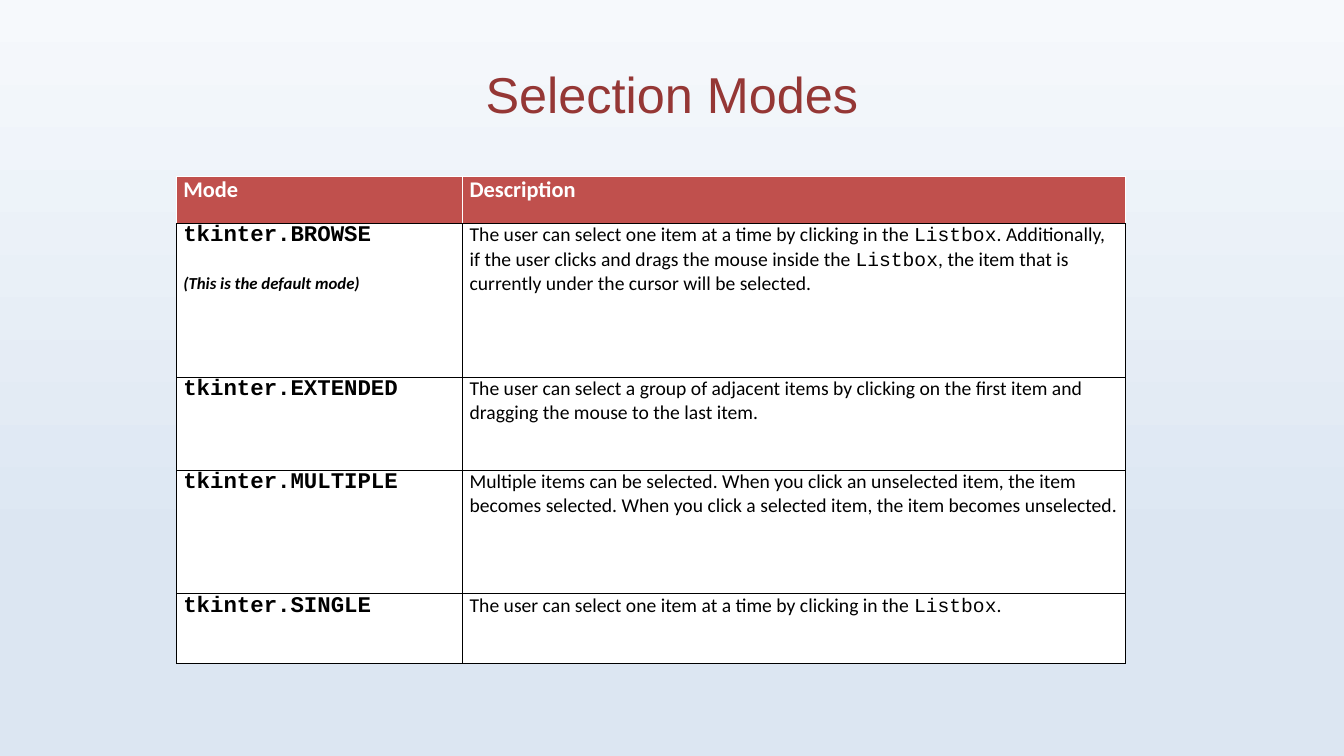
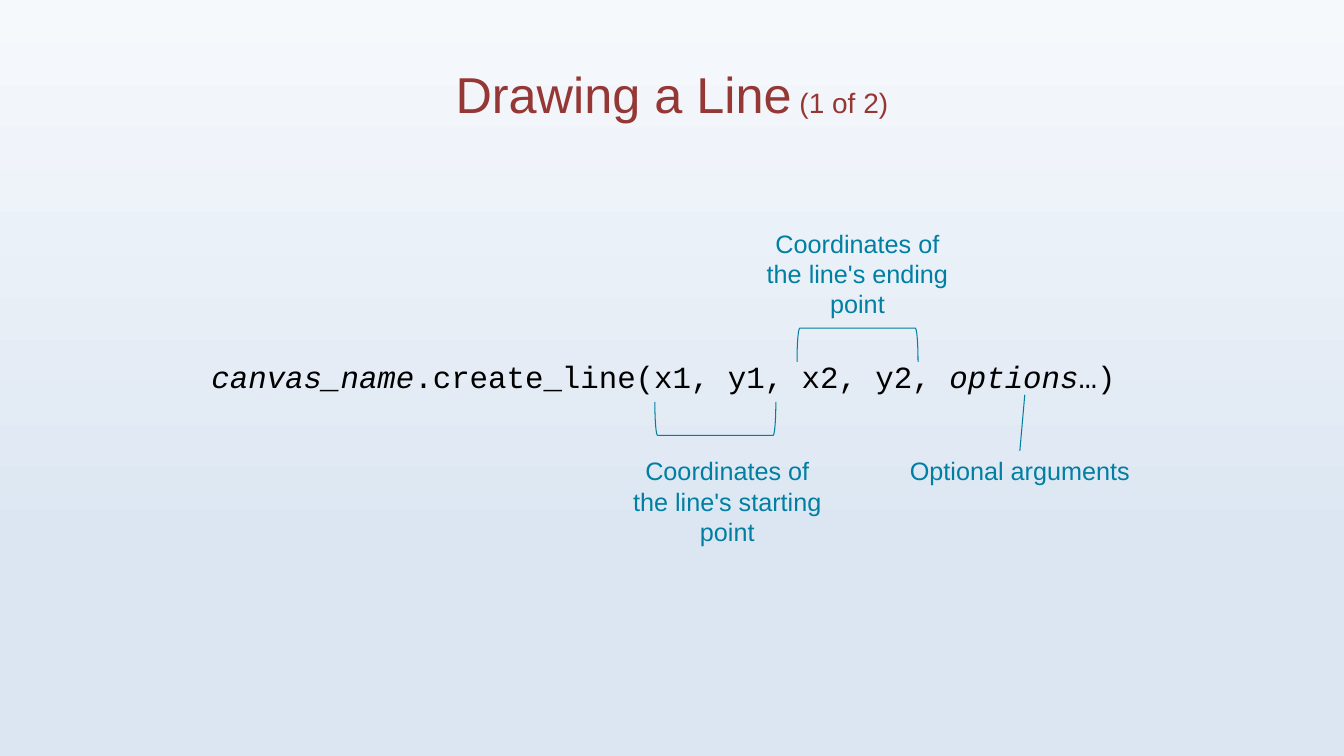
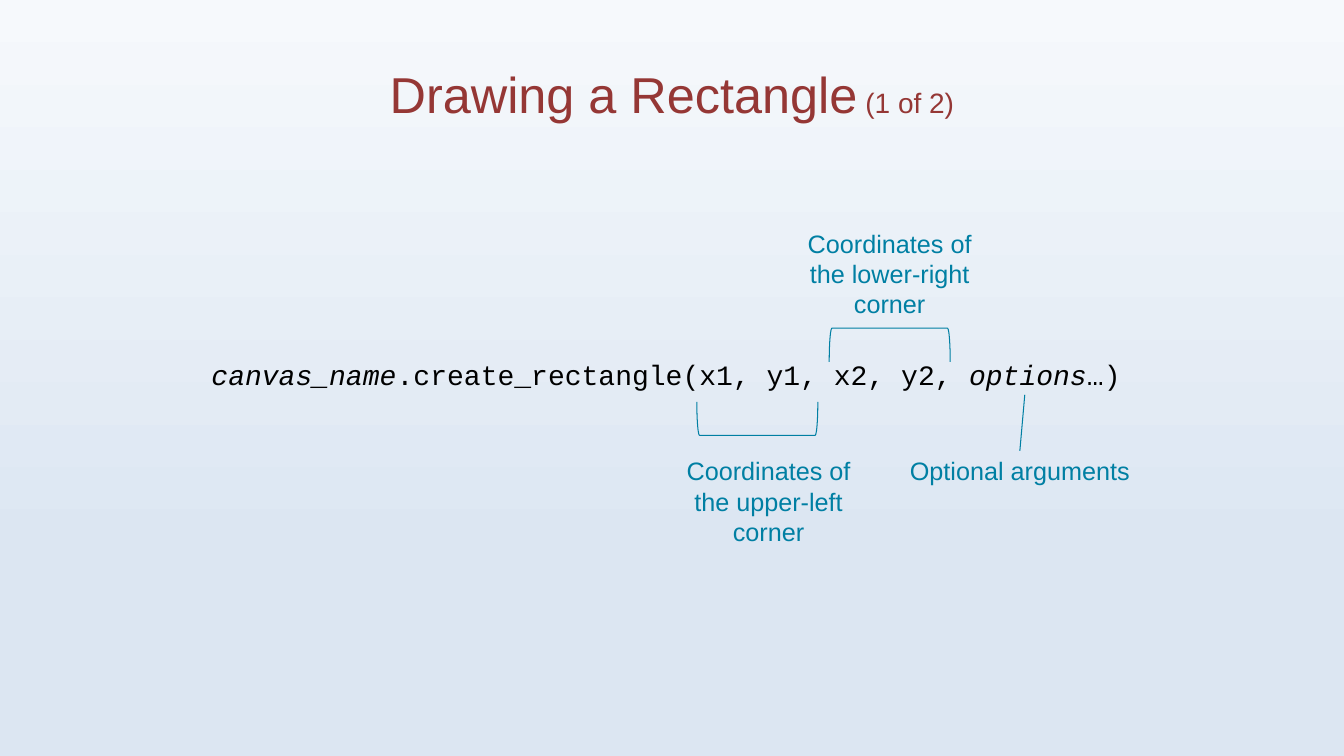
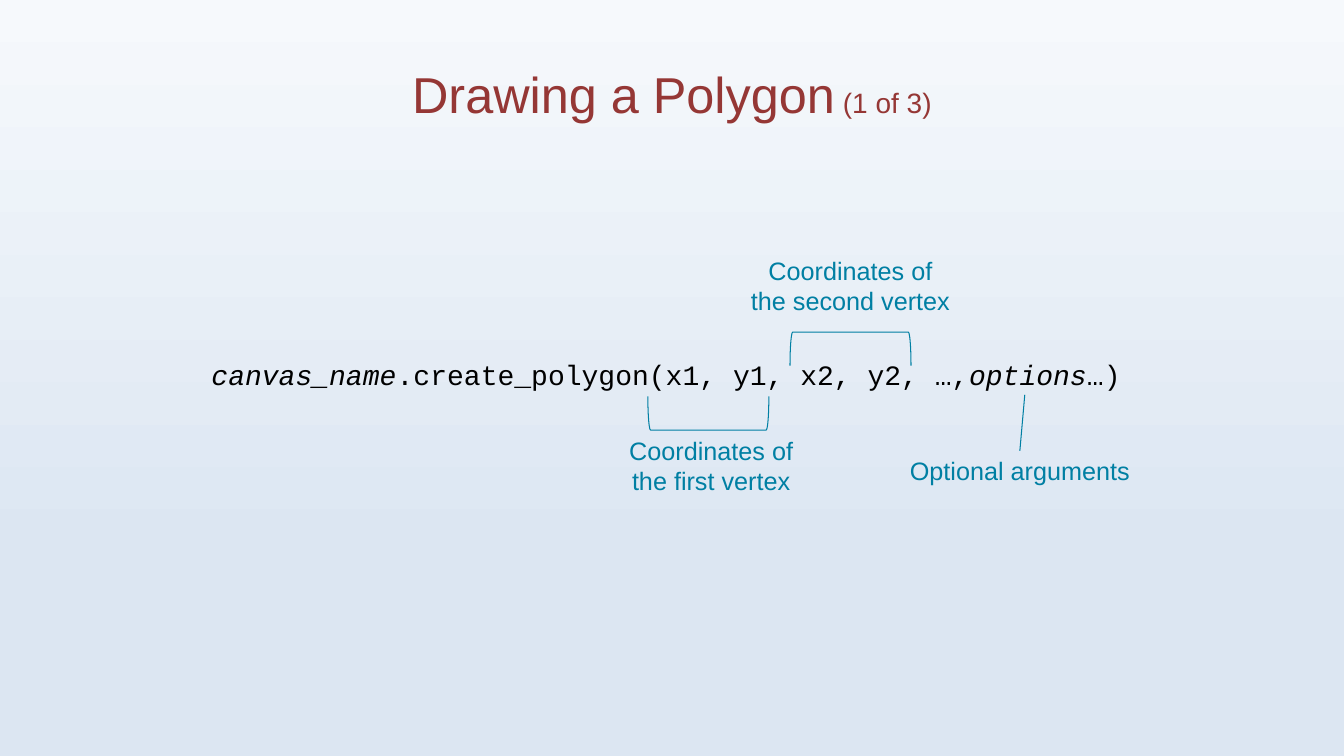
import lxml.etree
import pptx
import pptx.dml.color
import pptx.enum.shapes
import pptx.enum.text
import pptx.oxml.ns
import pptx.util

Pt = pptx.util.Pt
qn = pptx.oxml.ns.qn
RGBColor = pptx.dml.color.RGBColor
ALIGN = pptx.enum.text.PP_ALIGN
ANCHOR = pptx.enum.text.MSO_ANCHOR
SHAPE = pptx.enum.shapes.MSO_SHAPE
STRAIGHT = pptx.enum.shapes.MSO_CONNECTOR.STRAIGHT

PALE = RGBColor(0xF6, 0xF9, 0xFC)
MIST = RGBColor(0xDC, 0xE6, 0xF2)
MAROON = RGBColor(0x95, 0x37, 0x35)
RED = RGBColor(0xC0, 0x50, 0x4D)
TEAL = RGBColor(0x00, 0x7F, 0xA3)
WHITE = RGBColor(0xFF, 0xFF, 0xFF)
BLACK = RGBColor(0x00, 0x00, 0x00)
SANS, BODY, MONO = "Arial", "Calibri", "Courier New"


def put(para, text, size=18, font=SANS, color=TEAL, bold=False, slant=False):
    run = para.add_run()
    run.text = text
    run.font.size = Pt(size)
    run.font.name = font
    run.font.color.rgb = color
    run.font.bold = bold
    run.font.italic = slant


def label(slide, mid, top, lines, width=174):
    box = slide.shapes.add_textbox(Pt(mid - width / 2), Pt(top), Pt(width), Pt(7 + 22 * len(lines)))
    frame = box.text_frame
    frame.word_wrap = False
    for i, line in enumerate(lines):
        para = frame.add_paragraph() if i else frame.paragraphs[0]
        para.alignment = ALIGN.CENTER
        put(para, line)
    return box


deck = pptx.Presentation()
deck.slide_width, deck.slide_height = Pt(960), Pt(540)
back = deck.slide_master.background.fill
back.gradient()
back.gradient_angle = 270
for stop, color, place in zip(back.gradient_stops, (PALE, MIST), (0, 0.73)):
    stop.color.rgb = color
    stop.position = place

slides = []
for title, count in [
    ("Selection Modes", ""),
    ("Drawing a Line", " (1 of 2)"),
    ("Drawing a Rectangle", " (1 of 2)"),
    ("Drawing a Polygon", " (1 of 3)"),
]:
    slide = deck.slides.add_slide(deck.slide_layouts[6])
    frame = slide.shapes.add_textbox(Pt(48), Pt(21.6), Pt(864), Pt(90)).text_frame
    frame.word_wrap = True
    frame.vertical_anchor = ANCHOR.MIDDLE
    para = frame.paragraphs[0]
    para.alignment = ALIGN.CENTER
    put(para, title, size=36, color=MAROON)
    if count:
        put(para, count, size=20, color=MAROON)
    slides.append(slide)

modes = [
    ("BROWSE", [
        "The user can select one item at a time by clicking in the ", "Listbox",
        ". Additionally, if the user clicks and drags the mouse inside the ", "Listbox",
        ", the item that is currently under the cursor will be selected."]),
    ("EXTENDED", [
        "The user can select a group of adjacent items by clicking on the first item "
        "and dragging the mouse to the last item."]),
    ("MULTIPLE", [
        "Multiple items can be selected. When you click an unselected item, the item "
        "becomes selected. When you click a selected item, the item becomes unselected."]),
    ("SINGLE", [
        "The user can select one item at a time by clicking in the ", "Listbox", "."]),
]
grid = slides[0].shapes.add_table(5, 2, Pt(126), Pt(126), Pt(678), Pt(348)).table
grid.horz_banding = False
for col, width in zip(grid.columns, (204.5, 473.5)):
    col.width = Pt(width)
for row, height in zip(grid.rows, (33.5, 110, 66.5, 88, 50)):
    row.height = Pt(height)

for i, row in enumerate(grid.rows):
    for cell in row.cells:
        cell.margin_left = cell.margin_right = Pt(5)
        cell.margin_top = cell.margin_bottom = Pt(0)
        cell.fill.solid()
        cell.fill.fore_color.rgb = WHITE if i else RED
        props = cell._tc.get_or_add_tcPr()
        for n, side in enumerate(("lnL", "lnR", "lnT", "lnB")):
            light = i == 0 and side != "lnB"
            edge = lxml.etree.Element(qn("a:" + side), w=str(Pt(1 if light else 0.5)))
            fill = lxml.etree.SubElement(edge, qn("a:solidFill"))
            lxml.etree.SubElement(fill, qn("a:srgbClr"), val=str(WHITE if light else BLACK))
            props.insert(n, edge)

for cell, head in zip(grid.rows[0].cells, ("Mode", "Description")):
    put(cell.text_frame.paragraphs[0], head, size=16, font=BODY, color=WHITE, bold=True)
for i, (mode, parts) in enumerate(modes, 1):
    put(grid.cell(i, 0).text_frame.paragraphs[0], "tkinter." + mode,
        size=16, font=MONO, color=BLACK, bold=True)
    para = grid.cell(i, 1).text_frame.paragraphs[0]
    for part in parts:
        put(para, part, size=14, font=MONO if part == "Listbox" else BODY, color=BLACK)
note = grid.cell(1, 0).text_frame.add_paragraph()
note.space_before = Pt(18)
put(note, "(This is the default mode)", size=12, font=BODY, color=BLACK, bold=True, slant=True)

calls = [
    (".create_line(x1, y1, x2, y2, ", 22,
     (499, 255.8), (519.5, 322, ["the line's starting", "point"]),
     (600.5, 203.2), (612.5, 159.5, ["the line's ending", "point"])),
    (".create_rectangle(x1, y1, x2, y2, ", 20,
     (529, 255.8), (549, 322, ["the upper-left", "corner"]),
     (623.5, 203.2), (635.5, 159.5, ["the lower-right", "corner"])),
    (".create_polygon(x1, y1, x2, y2, …,", 20,
     (494, 252), (508, 307.5, ["the first vertex"]),
     (595.5, 206), (607.5, 178.5, ["the second vertex"])),
]
for slide, (call, size, low, first, high, last) in zip(slides[1:], calls):
    frame = slide.shapes.add_textbox(Pt(144), Pt(252), Pt(678), Pt(size + 12)).text_frame
    frame.word_wrap = True
    for text, slant in (("canvas_name", True), (call, False), ("options", True), ("…)", False)):
        put(frame.paragraphs[0], text, size=size, font=MONO, color=BLACK, slant=slant)

    for (left, top), turn in ((low, 270), (high, 90)):
        mark = slide.shapes.add_shape(SHAPE.LEFT_BRACKET, Pt(left), Pt(top), Pt(24), Pt(86.4))
        mark.rotation = turn
        mark.adjustments[0] = 0.08
        mark.shadow.inherit = False
        mark.fill.background()
        mark.line.color.rgb = TEAL
        mark.line.width = Pt(0.75)

    for mid, top, lines in (first, last):
        label(slide, mid, top, ["Coordinates of"] + lines)
    extra = label(slide, 728.5, 322, ["Optional arguments"])
    link = slide.shapes.add_connector(STRAIGHT, Pt(728.5), Pt(322), Pt(732), Pt(282))
    link.begin_connect(extra, 0)
    link.line.color.rgb = TEAL
    link.line.width = Pt(0.75)
    lxml.etree.SubElement(link._element.spPr, qn("a:effectLst"))

deck.save("out.pptx")
